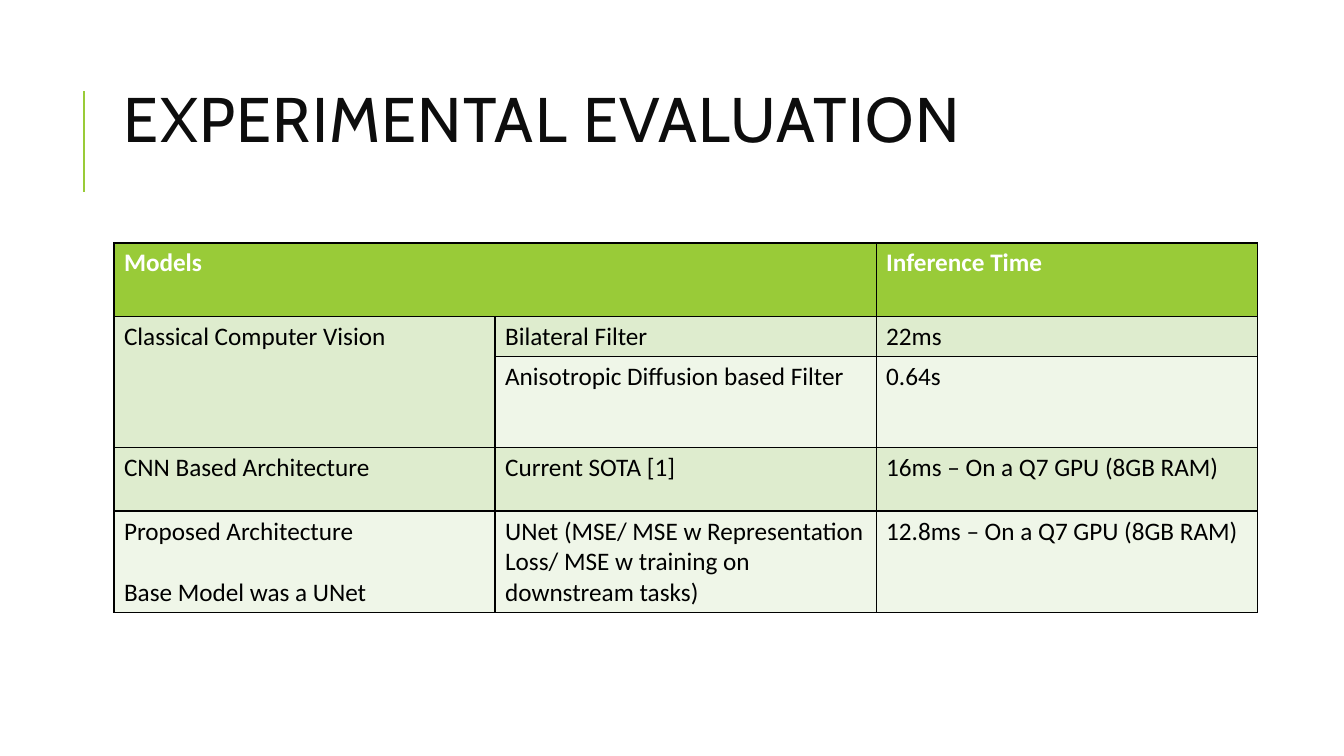
from lxml.etree import SubElement
from pptx import Presentation
from pptx.dml.color import RGBColor
from pptx.enum.shapes import MSO_CONNECTOR
from pptx.enum.text import MSO_ANCHOR
from pptx.oxml.ns import qn
from pptx.util import Inches, Pt

GREEN, LIGHT, PALE = "99CB38", "DEECCE", "EFF6E8"


def color(hex_code):
    return RGBColor.from_string(hex_code)


def add_borders(cell):
    """Draw a thin black line on all four sides; call before filling the cell."""
    tcPr = cell._tc.get_or_add_tcPr()
    for side in ("lnL", "lnR", "lnT", "lnB"):
        ln = SubElement(tcPr, qn(f"a:{side}"), w=str(Pt(1)))
        fill = SubElement(ln, qn("a:solidFill"))
        SubElement(fill, qn("a:srgbClr"), val="000000")


prs = Presentation()
prs.slide_width, prs.slide_height = Inches(13.33), Inches(7.5)
s = prs.slides.add_slide(prs.slide_layouts[6])

# Accent line and title
accent = s.shapes.add_connector(
    MSO_CONNECTOR.STRAIGHT, Inches(0.83), Inches(1.9), Inches(0.83), Inches(0.9))
accent.line.color.rgb = color(GREEN)
accent.line.width = Pt(1.5)
SubElement(accent._element.spPr, qn("a:effectLst"))

title = s.shapes.add_textbox(Inches(1.13), Inches(0.88), Inches(10.63), Inches(0.7))
tf = title.text_frame
tf.word_wrap = True
tf.vertical_anchor = MSO_ANCHOR.MIDDLE
p = tf.paragraphs[0]
p.line_spacing = 0.8
r = p.add_run()
r.text = "EXPERIMENTAL EVALUATION"
r.font.name, r.font.size = "Cabin", Pt(45)
r.font.color.rgb = color("0D0D0D")
r._r.get_or_add_rPr().set("spc", "100")

# Results table: height, fill and texts of each row
rows = [
    (0.73, GREEN, ["Models", "", "Inference Time"]),
    (0.36, LIGHT, ["Classical Computer Vision", "Bilateral Filter", "22ms"]),
    (0.9, PALE, ["", "Anisotropic Diffusion based Filter", "0.64s"]),
    (0.63, LIGHT, ["CNN Based Architecture", "Current SOTA [1]",
                   "16ms – On a Q7 GPU (8GB RAM)"]),
    (0.63, PALE, ["Proposed Architecture\nBase Model was a UNet",
                  "UNet (MSE/ MSE w Representation Loss/ MSE w training on downstream tasks)",
                  "12.8ms – On a Q7 GPU (8GB RAM)"]),
]
table = s.shapes.add_table(len(rows), 3, Inches(1.13), Inches(2.41),
                           Inches(11.34), Inches(3.25)).table
for column in table.columns:
    column.width = Inches(3.78)

for i, (height, fill, texts) in enumerate(rows):
    table.rows[i].height = Inches(height)
    for j, text in enumerate(texts):
        cell = table.cell(i, j)
        add_borders(cell)
        cell.fill.solid()
        cell.fill.fore_color.rgb = color(fill)
        cell.text = text
        for k, p in enumerate(cell.text_frame.paragraphs):
            if k:
                p.space_before = Pt(22)
            p.font.name, p.font.size = "Calibri", Pt(18)
            p.font.bold = i == 0
            p.font.color.rgb = color("FFFFFF" if i == 0 else "000000")

table.cell(0, 0).merge(table.cell(0, 1))
table.cell(1, 0).merge(table.cell(2, 0))

prs.save("out.pptx")
